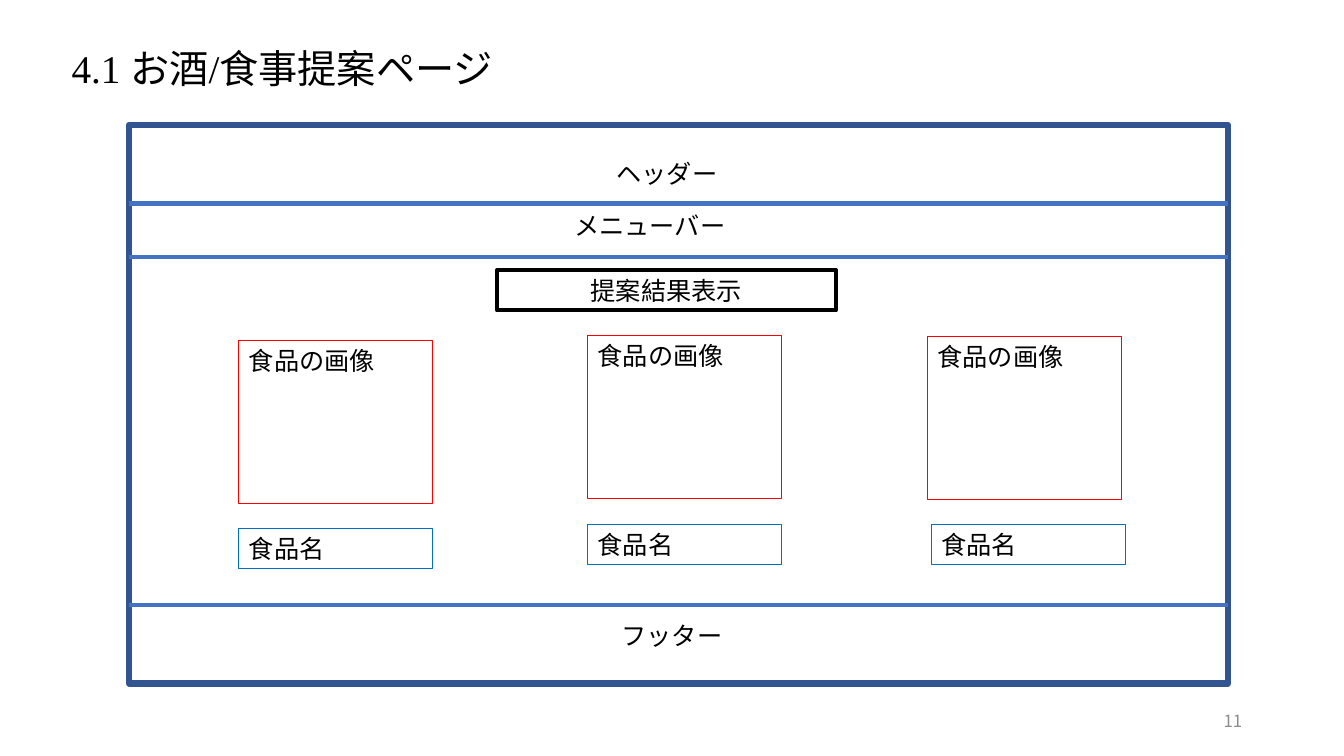
"""Build the wireframe slide of the drink and meal suggestion page."""
from lxml.etree import SubElement
from pptx import Presentation
from pptx.dml.color import RGBColor
from pptx.enum.shapes import MSO_CONNECTOR, MSO_SHAPE
from pptx.enum.text import MSO_ANCHOR, PP_ALIGN
from pptx.oxml.ns import qn
from pptx.util import Inches, Pt

TITLE = "4.1 お酒/食事提案ページ"
PAGE = "11"
RESULT = "提案結果表示"
BANDS = [("ヘッダー", 4.53, 1.52), ("メニューバー", 4.36, 2.04), ("フッター", 4.58, 6.1)]
RULES = [2.02, 2.55, 6]
PHOTO, NAME = "食品の画像", "食品名"
FOODS = [((2.37, 3.38), (2.37, 5.24)),
         ((5.83, 3.33), (5.83, 5.2)),
         ((9.2, 3.34), (9.24, 5.2))]
FRAME = (1.28, 1.24, 10.9, 5.54)
ROW = 0.4
FOOD_W, PHOTO_H = 1.92, 1.62
SANS, SERIF = "Noto Sans CJK JP", "Times New Roman"
COLORS = {"frame": "325491", "rule": "4472C4", "photo": "FF0000",
          "name": "0070C0", "text": "000000", "page": "8C8C8C"}


def color(key):
    return RGBColor.from_string(COLORS[key])


def write(shape, text, size=18, align=PP_ALIGN.LEFT, anchor=MSO_ANCHOR.TOP,
          ink="text", face=SANS):
    frame = shape.text_frame
    frame.text = text
    frame.word_wrap = True
    frame.vertical_anchor = anchor
    para = frame.paragraphs[0]
    para.alignment = align
    run = para.runs[0]
    run.font.size = Pt(size)
    run.font.color.rgb = color(ink)
    run.font.name = face
    SubElement(run._r.get_or_add_rPr(), qn("a:ea")).set("typeface", SANS)


def add_box(slide, area, ink, width):
    box = slide.shapes.add_shape(MSO_SHAPE.RECTANGLE, *map(Inches, area))
    box.shadow.inherit = False
    box.fill.background()
    box.line.color.rgb = color(ink)
    box.line.width = Pt(width)
    return box


def add_rule(slide, y):
    left, right = FRAME[0], FRAME[0] + FRAME[2]
    rule = slide.shapes.add_connector(
        MSO_CONNECTOR.STRAIGHT, *map(Inches, (left, y, right, y)))
    rule.line.color.rgb = color("rule")
    rule.line.width = Pt(3)
    SubElement(rule._element.spPr, qn("a:effectLst"))


def add_label(slide, area, text, **style):
    write(slide.shapes.add_textbox(*map(Inches, area)), text, **style)


def main():
    deck = Presentation()
    deck.slide_width, deck.slide_height = Inches(13.33), Inches(7.5)
    slide = deck.slides.add_slide(deck.slide_layouts[5])

    title = slide.shapes.title
    title.left, title.top = Inches(0.61), Inches(0.39)
    title.width, title.height = Inches(4.74), Inches(0.88)
    write(title, TITLE, size=28, face=SERIF)

    add_box(slide, FRAME, "frame", 4.5)
    for y in RULES:
        add_rule(slide, y)
    for text, x, y in BANDS:
        add_label(slide, (x, y, 4.17, ROW), text, align=PP_ALIGN.CENTER)

    result = add_box(slide, (4.93, 2.68, 3.36, ROW), "text", 3)
    write(result, RESULT, align=PP_ALIGN.CENTER, anchor=MSO_ANCHOR.MIDDLE)

    for photo, name in FOODS:
        write(add_box(slide, (*photo, FOOD_W, PHOTO_H), "photo", 0.75), PHOTO)
        write(add_box(slide, (*name, FOOD_W, ROW), "name", 0.75), NAME)

    add_label(slide, (9.42, 6.95, 3, ROW), PAGE, size=12, ink="page",
              align=PP_ALIGN.RIGHT, anchor=MSO_ANCHOR.MIDDLE)
    deck.save("out.pptx")


if __name__ == "__main__":
    main()
